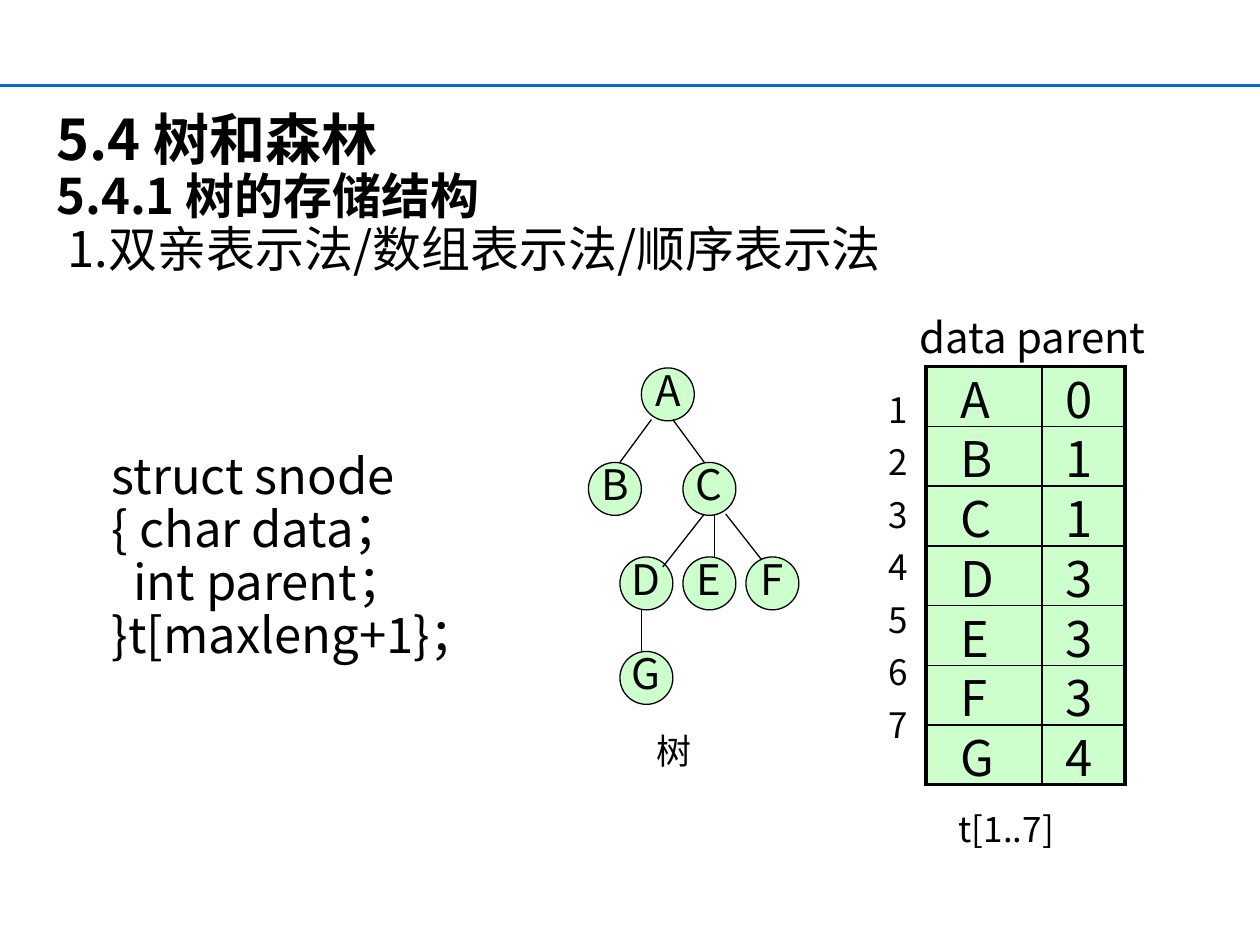
from lxml.etree import SubElement
from pptx import Presentation
from pptx.dml.color import RGBColor
from pptx.enum.shapes import MSO_CONNECTOR, MSO_SHAPE
from pptx.enum.text import MSO_ANCHOR, MSO_AUTO_SIZE, PP_ALIGN
from pptx.oxml.ns import qn
from pptx.util import Inches, Pt

FONT = "Noto Sans CJK SC"
INK, MINT, BLUE = "000000", "CCFFCC", "0070C0"


def tint(code):
    return RGBColor.from_string(code)


def apply(item, form):
    for name, value in form.items():
        setattr(item, name, value)


def paint(fill, code):
    fill.solid()
    fill.fore_color.rgb = tint(code)


def write(para, text, size, bold=False, **form):
    apply(para, form)
    run = para.add_run()
    run.text = text
    apply(run.font, {"size": Pt(size), "bold": bold, "name": FONT})
    run.font.color.rgb = tint(INK)
    SubElement(run.font._element, qn("a:ea"), typeface=FONT)


def hang(para, shift):
    props = para._p.get_or_add_pPr()
    props.set("marL", str(Inches(0.38 + shift)))
    props.set("indent", str(Inches(-0.38)))


def add_text(slide, box, rows, **form):
    frame = slide.shapes.add_textbox(*map(Inches, box)).text_frame
    apply(frame, {"word_wrap": True, **form})
    for i, row in enumerate(rows):
        para = frame.add_paragraph() if i else frame.paragraphs[0]
        shift = row.pop("shift", None)
        write(para, **row)
        if shift is not None:
            hang(para, shift)


def add_label(slide, box, text, size, **form):
    add_text(slide, box, [{"text": text, "size": size, **form}],
             word_wrap=False, auto_size=MSO_AUTO_SIZE.SHAPE_TO_FIT_TEXT)


def add_line(slide, ends, code=INK, width=0.75):
    line = slide.shapes.add_connector(MSO_CONNECTOR.STRAIGHT, *map(Inches, ends))
    line.line.color.rgb = tint(code)
    line.line.width = Pt(width)
    SubElement(line._element.spPr, qn("a:effectLst"))


def add_node(slide, left, top, name):
    node = slide.shapes.add_shape(
        MSO_SHAPE.OVAL, *map(Inches, (left, top, 0.42, 0.42)))
    node.shadow.inherit = False
    paint(node.fill, MINT)
    node.line.color.rgb = tint(INK)
    node.line.width = Pt(0.75)
    frame = node.text_frame
    apply(frame, {"word_wrap": False, "vertical_anchor": MSO_ANCHOR.MIDDLE})
    write(frame.paragraphs[0], name, 24,
          alignment=PP_ALIGN.CENTER, line_spacing=0.8)


def add_tree(slide, left, top):
    nodes = {"A": (0.42, 0), "B": (0, 1), "C": (0.75, 1), "D": (0.25, 2),
             "E": (0.75, 2), "F": (1.25, 2), "G": (0.25, 3)}
    edges = [(1.09, 1.16, 1.42, 1.58), (0.5, 0.41, 0.25, 0.75),
             (0.67, 0.41, 0.92, 0.75), (1, 1.16, 1, 1.5),
             (0.92, 1.16, 0.59, 1.58), (0.42, 1.91, 0.42, 2.25)]

    def draw(group):
        for x1, y1, x2, y2 in group:
            add_line(slide, (left + x1, top + y1, left + x2, top + y2))

    draw(edges[:1])
    for name, (x, level) in nodes.items():
        add_node(slide, left + x, top + 0.75 * level, name)
    draw(edges[1:])
    add_label(slide, (left + 0.44, top + 2.82, 0.48, 0.43), "树", 20)


def add_edge(cell, side, width):
    line = SubElement(cell._tc.get_or_add_tcPr(), qn("a:ln" + side),
                      w=str(Pt(width)))
    fill = SubElement(line, qn("a:solidFill"))
    SubElement(fill, qn("a:srgbClr"), val=INK)


def add_grid(slide, left, top):
    data = list(zip("ABCDEFG", "0113334"))
    count = len(data)
    table = slide.shapes.add_table(
        count, 2, *map(Inches, (left, top, 1.58, 3.31))).table
    apply(table, {"first_row": False, "horz_banding": False})
    for col, width in zip(table.columns, (0.92, 0.66)):
        col.width = Inches(width)
    for i, row in enumerate(data):
        table.rows[i].height = Inches(3.31 / count)
        for j, text in enumerate(row):
            cell = table.cell(i, j)
            cell.margin_left = Inches((0.27, 0.19)[j])
            write(cell.text_frame.paragraphs[0], text, 28, line_spacing=0.8)
            outer = {"L": j == 0, "R": j == 1, "T": i == 0, "B": i == count - 1}
            for side, edge in outer.items():
                add_edge(cell, side, 2.25 if edge else 1)
            paint(cell.fill, MINT)
    add_label(slide, (left - 0.17, top - 0.41, 2.03, 0.42), "data parent", 24,
              alignment=PP_ALIGN.CENTER, line_spacing=0.8)
    add_text(slide, (left - 0.42, top + 0.04, 0.39, 3.02),
             [{"text": str(i + 1), "size": 20, "line_spacing": Pt(30),
               "alignment": PP_ALIGN.CENTER} for i in range(count)])
    add_label(slide, (left + 0.16, top + 3.45, 1.17, 0.43), "t[1..7]", 20)


def add_head(slide, box):
    rows = [("5.4 树和森林", 32, True, 0), ("5.4.1 树的存储结构", 28, True, 0),
            ("1.双亲表示法/数组表示法/顺序表示法", 28, False, 0.09)]
    add_text(slide, box, [
        {"text": text, "size": size, "bold": bold, "shift": shift,
         "line_spacing": 0.9} for text, size, bold, shift in rows])


def add_code(slide, box):
    rows = [("struct snode", 0), ("{ char data；", 0),
            ("int parent；", 0.17), ("}t[maxleng+1}；", 0)]
    add_text(slide, box, [
        {"text": text, "size": 28, "shift": shift, "line_spacing": 0.9}
        for text, shift in rows])


def main():
    deck = Presentation()
    apply(deck, {"slide_width": Inches(10), "slide_height": Inches(7.5)})
    slide = deck.slides.add_slide(deck.slide_layouts[6])
    add_line(slide, (0, 0.68, 10, 0.68), BLUE, 1.5)
    add_head(slide, (0.35, 0.84, 7.27, 1.84))
    add_tree(slide, 4.67, 2.92)
    add_grid(slide, 7.35, 2.91)
    add_code(slide, (0.79, 3.54, 3.56, 1.92))
    deck.save("out.pptx")


if __name__ == "__main__":
    main()
